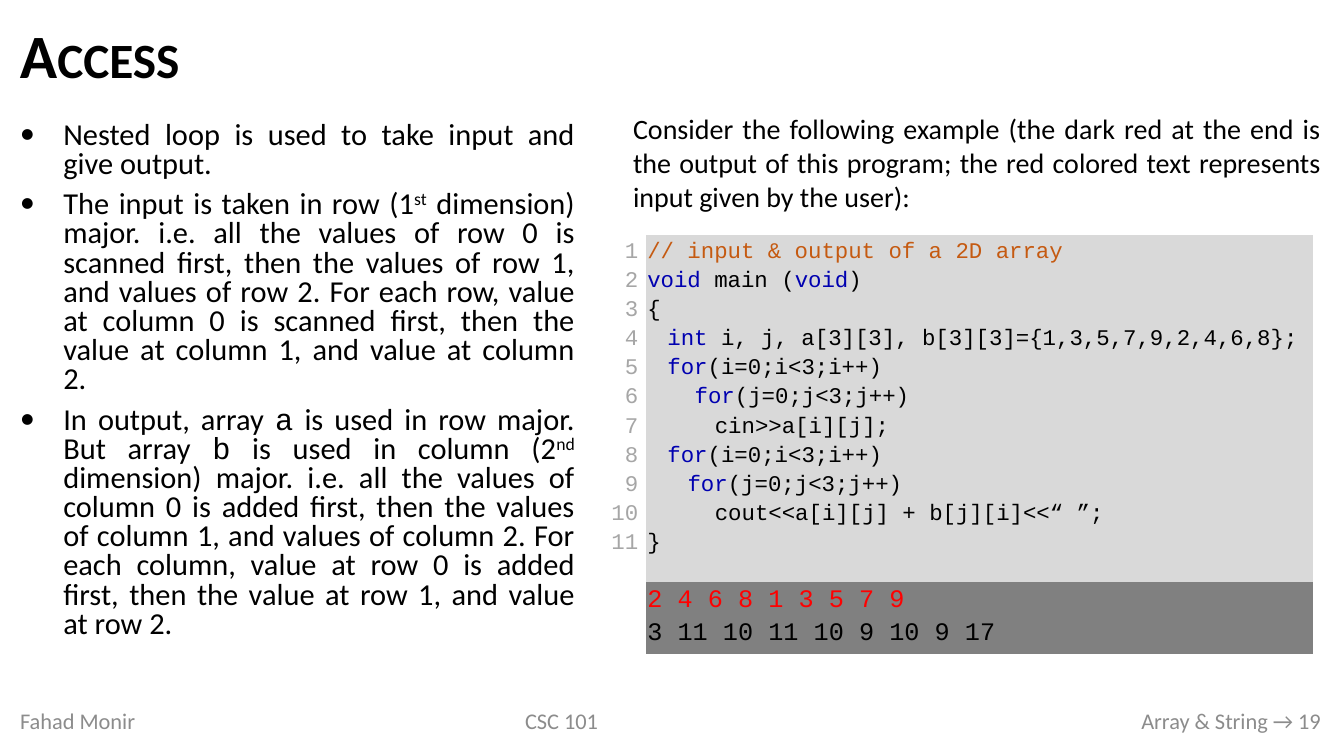
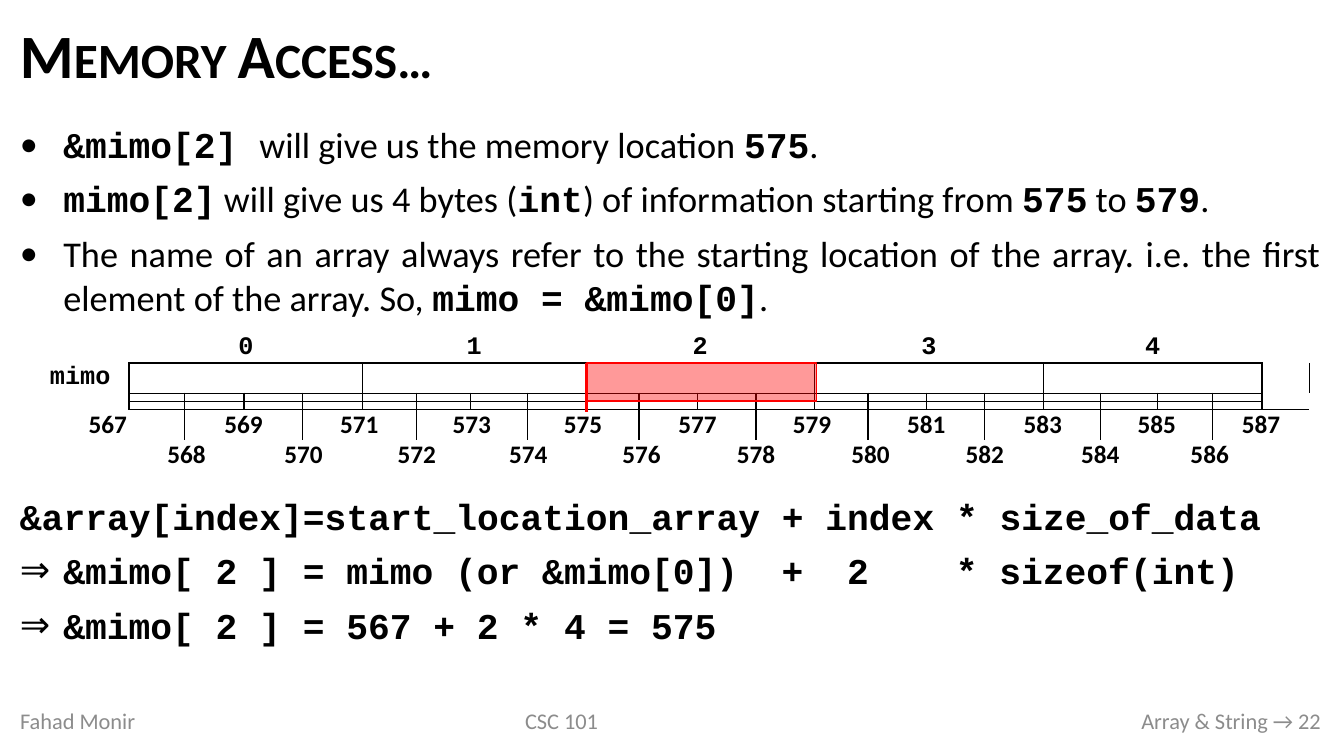
from dataclasses import dataclass

from lxml import etree
from pptx import Presentation
from pptx.dml.color import RGBColor
from pptx.enum.shapes import MSO_CONNECTOR, MSO_SHAPE
from pptx.enum.text import MSO_ANCHOR as ANCHOR, PP_ALIGN as ALIGN
from pptx.oxml.ns import qn
from pptx.util import Inches, Pt


@dataclass(frozen=True)
class Theme:
    sans: str = "Calibri"
    mono: str = "Courier New"
    ink: str = "000000"
    footer: str = "8C8C8C"
    line_no: str = "A6A6A6"
    comment: str = "C55A11"
    keyword: str = "0000B0"
    red: str = "FF0000"
    code_fill: str = "D9D9D9"
    output_fill: str = "808080"
    title_size: float = 44
    points_size: float = 21.7
    large_size: float = 25.9
    intro_size: float = 20
    label_size: float = 18
    code_size: float = 16
    footer_size: float = 16


T = Theme()
NO_GRID_STYLE = "{2D5ABB26-0587-4C30-8999-92F81FD0307C}"


@dataclass(frozen=True)
class Run:
    text: str
    font: str = T.sans
    color: str = T.ink
    bold: bool = False
    sup: bool = False


def mono(text, color=T.ink, bold=False):
    return Run(text, T.mono, color, bold)


def strong(text):
    return mono(text, bold=True)


def key(text):
    return mono(text, T.keyword)


def sup(text):
    return Run(text, sup=True)


def rgb(color):
    return RGBColor.from_string(color)


def write(p, runs, size, align=ALIGN.LEFT, spacing=None):
    """Fill a paragraph; plain strings become body-font runs."""
    p.alignment = align
    if spacing:
        p.line_spacing = spacing
    for item in runs:
        item = Run(item) if isinstance(item, str) else item
        r = p.add_run()
        r.text = item.text
        r.font.name, r.font.size, r.font.bold = item.font, Pt(size), item.bold
        r.font.color.rgb = rgb(item.color)
        if item.sup:
            r.font._element.set("baseline", "30000")


def paragraphs(tf, count):
    return [tf.paragraphs[0]] + [tf.add_paragraph() for _ in range(count - 1)]


def indent(p, left, first=0):
    pPr = p._p.get_or_add_pPr()
    pPr.set("marL", str(Inches(left)))
    pPr.set("indent", str(Inches(first)))
    return pPr


def add_text(slide, box, anchor=ANCHOR.TOP):
    sp = slide.shapes.add_textbox(*map(Inches, box))
    tf = sp.text_frame
    tf.word_wrap = True
    tf.vertical_anchor = anchor
    return tf


def add_line(slide, box, runs, size, align=ALIGN.LEFT, anchor=ANCHOR.MIDDLE, spacing=None):
    """Add a text box holding one paragraph."""
    p = add_text(slide, box, anchor).paragraphs[0]
    write(p, runs, size, align, spacing)
    return p


def add_points(slide, box, points, size, spacing=None):
    """Add justified paragraphs, each given as (bullet or None, runs)."""
    tf = add_text(slide, box)
    for p, (bullet, runs) in zip(paragraphs(tf, len(points)), points):
        write(p, runs, size, ALIGN.JUSTIFY, spacing)
        p.space_before = p.space_after = Pt(4)
        if bullet:
            pPr = indent(p, 0.43, -0.43)
            etree.SubElement(pPr, qn("a:buFont")).set("typeface", T.sans)
            etree.SubElement(pPr, qn("a:buChar")).set("char", bullet)


def add_grid(slide, left, top, cols, rows, margin):
    """Add a table without style, with equal cell margins."""
    size = (Inches(v) for v in (left, top, sum(cols), sum(rows)))
    table = slide.shapes.add_table(len(rows), len(cols), *size).table
    table.first_row = table.horz_banding = False
    table._tbl.tblPr.find(qn("a:tableStyleId")).text = NO_GRID_STYLE
    for col, width in zip(table.columns, cols):
        col.width = Inches(width)
    for row, height in zip(table.rows, rows):
        row.height = Inches(height)
    for cell in table.iter_cells():
        cell.margin_left = cell.margin_right = Inches(margin)
        cell.margin_top = cell.margin_bottom = Inches(margin)
    return table


def draw_border(cell, side):
    ln = etree.SubElement(cell._tc.get_or_add_tcPr(), qn(f"a:ln{side}"), w=str(Pt(1)))
    fill = etree.SubElement(ln, qn("a:solidFill"))
    etree.SubElement(fill, qn("a:srgbClr")).set("val", T.ink)


def vertical_edges(table, row, cols):
    """Draw the left edge of the given columns, on both cells that share it."""
    for c in cols:
        draw_border(table.cell(row, c - 1), "R")
        draw_border(table.cell(row, c), "L")


def horizontal_edges(table, row, cols):
    """Draw the top edge of a row, on both cells that share it."""
    for c in cols:
        draw_border(table.cell(row - 1, c), "B")
        draw_border(table.cell(row, c), "T")


def add_slide(prs, title, number):
    slide = prs.slides.add_slide(prs.slide_layouts[6])
    p = add_line(slide, (0.1, 0.11, 13.1, 0.95), [Run(title, bold=True)], T.title_size, spacing=0.9)
    p.runs[0].font._element.set("cap", "small")
    footers = [
        (0.1, 2.41, "Fahad Monir", ALIGN.LEFT),
        (3.89, 3.36, "CSC 101", ALIGN.CENTER),
        (7.71, 5.49, f"Array & String → {number}", ALIGN.RIGHT),
    ]
    for left, width, text, align in footers:
        add_line(slide, (left, 6.95, width, 0.4), [Run(text, color=T.footer)], T.footer_size, align)
    return slide


def add_code(slide):
    code = [
        (0, [mono("// input & output of a 2D array", T.comment)]),
        (0, [key("void"), mono(" main ("), key("void"), mono(")")]),
        (0, [mono("{")]),
        (0.2, [key("int "), mono("i, j, a[3][3], b[3][3]={1,3,5,7,9,2,4,6,8};")]),
        (0.2, [key("for"), mono("(i=0;i<3;i++)")]),
        (0.47, [key("for"), mono("(j=0;j<3;j++)")]),
        (0.67, [mono("cin>>a[i][j];")]),
        (0.2, [key("for"), mono("(i=0;i<3;i++)")]),
        (0.4, [key("for"), mono("(j=0;j<3;j++)")]),
        (0.67, [mono("cout<<a[i][j] + b[j][i]<<“ ”;")]),
        (0, [mono("}")]),
    ]
    output = [mono("2 4 6 8 1 3 5 7 9", T.red), mono("3 11 10 11 10 9 10 9 17")]
    table = add_grid(slide, 6.03, 2.33, [0.38, 6.61], [3.44, 0.72], 0.01)

    numbers, listing, result = table.cell(0, 0), table.cell(0, 1), table.cell(1, 1)
    numbers.margin_right = Inches(0.08)
    for n, p in enumerate(paragraphs(numbers.text_frame, len(code)), 1):
        write(p, [mono(str(n), T.line_no)], T.code_size, ALIGN.RIGHT, 1.15)
    for p, (left, runs) in zip(paragraphs(listing.text_frame, len(code)), code):
        write(p, runs, T.code_size, spacing=1.15)
        indent(p, left)
    for p, run in zip(paragraphs(result.text_frame, len(output)), output):
        write(p, [run], T.label_size, spacing=1.15)
    for cell, color in ((listing, T.code_fill), (result, T.output_fill)):
        cell.fill.solid()
        cell.fill.fore_color.rgb = rgb(color)


def add_memory_map(slide):
    """Draw five array elements above a ruler of byte addresses."""
    cols = [0.97, 0.55, 0.59, 0.58, 0.6, 0.53, 0.54, 0.56, 0.58, 0.53, 0.58,
            0.58, 0.58, 0.53, 0.58, 0.58, 0.58, 0.57, 0.56, 0.55, 0.49, 0.47]
    rows = [0.3, 0.3, 0.08, 0.08, 0.3, 0.3]
    table = add_grid(slide, 0.31, 3.3, cols, rows, 0)
    last = len(cols) - 1

    def label(row, col, run, span=1):
        cell = table.cell(row, col)
        if span > 1:
            cell.merge(table.cell(row, col + span - 1))
        cell.vertical_anchor = ANCHOR.MIDDLE
        write(cell.text_frame.paragraphs[0], [run], T.label_size, ALIGN.CENTER)

    label(1, 0, strong("mimo"))
    for i in range(5):
        label(0, 1 + 4 * i, strong(str(i)), 4)
        table.cell(1, 1 + 4 * i).merge(table.cell(1, 4 + 4 * i))
    for address in range(567, 588):
        offset = address - 567
        label(4 + offset % 2, offset, Run(str(address), bold=True), 2)
    for cell in table.iter_cells():
        p = cell.text_frame.paragraphs[0]
        if not p.runs:
            p._p.get_or_add_endParaRPr().set("sz", "100")

    vertical_edges(table, 1, range(1, last + 1, 4))
    for row in (2, 3):
        vertical_edges(table, row, range(1, last + 1))
    vertical_edges(table, 4, range(2, last, 2))
    for row in (1, 3):
        horizontal_edges(table, row, range(1, last))


def add_highlight(slide, left, top, width, height, tick):
    """Tint one array element and mark where it starts."""
    x, y = Inches(left), Inches(top)
    line = slide.shapes.add_connector(MSO_CONNECTOR.STRAIGHT, x, y, x, Inches(top + tick))
    line.line.color.rgb = rgb(T.red)
    line.line.width = Pt(2.25)
    etree.SubElement(line._element.spPr, qn("a:effectLst"))

    sp = slide.shapes.add_shape(MSO_SHAPE.RECTANGLE, x, y, Inches(width), Inches(height))
    sp.shadow.inherit = False
    sp.fill.solid()
    sp.fill.fore_color.rgb = rgb(T.red)
    color = sp._element.spPr.find(qn("a:solidFill"))[0]
    etree.SubElement(color, qn("a:alpha")).set("val", "40000")
    sp.line.color.rgb = rgb(T.red)
    sp.line.width = Pt(1)


def build_access(prs):
    slide = add_slide(prs, "Access", 19)
    add_points(slide, (0.1, 1.16, 5.7, 5.48), [
        ("•", ["Nested loop is used to take input and give output."]),
        ("•", ["The input is taken in row (1", sup("st"),
               " dimension) major. i.e. all the values of row 0 is scanned first, then the "
               "values of row 1, and values of row 2. For each row, value at column 0 is "
               "scanned first, then the value at column 1, and value at column 2."]),
        ("•", ["In output, array ", mono("a"), " is used in row major. But array ", mono("b"),
               " is used in column (2", sup("nd"),
               " dimension) major. i.e. all the values of column 0 is added first, then the "
               "values of column 1, and values of column 2. For each column, value at row 0 is "
               "added first, then the value at row 1, and value at row 2."]),
    ], T.points_size, 0.8)
    add_code(slide)
    add_line(slide, (6.18, 1.06, 7.02, 1.11), [
        "Consider the following example (the dark red at the end is the output of this program; "
        "the red colored text represents input given by the user):",
    ], T.intro_size, ALIGN.JUSTIFY, ANCHOR.TOP)


def build_memory_access(prs):
    slide = add_slide(prs, "Memory Access…", 22)
    add_points(slide, (0.1, 1.16, 13.1, 2.1), [
        ("•", [strong("&mimo[2] "), "will give us the memory location ", strong("575"), "."]),
        ("•", [strong("mimo[2]"), " will give us 4 bytes (", strong("int"),
               ") of information starting from ", strong("575"), " to ", strong("579"), "."]),
        ("•", ["The name of an array always refer to the starting location of the array. i.e. "
               "the first element of the array. So, ", strong("mimo = &mimo[0]"), "."]),
    ], T.large_size)
    add_memory_map(slide)
    add_highlight(slide, 5.82, 3.6, 2.28, 0.38, 0.49)
    add_points(slide, (0.1, 4.85, 13.1, 1.97), [
        (None, [strong("&array[index]=start_location_array + index * size_of_data")]),
        ("⇒", [strong("&mimo[ 2 ] = mimo (or &mimo[0])  +  2    * sizeof(int)")]),
        ("⇒", [strong("&mimo[ 2 ] = 567 + 2 * 4 = 575")]),
    ], T.large_size)


def main():
    prs = Presentation()
    prs.slide_width, prs.slide_height = Inches(13.33), Inches(7.5)
    build_access(prs)
    build_memory_access(prs)
    prs.save("out.pptx")


if __name__ == "__main__":
    main()
